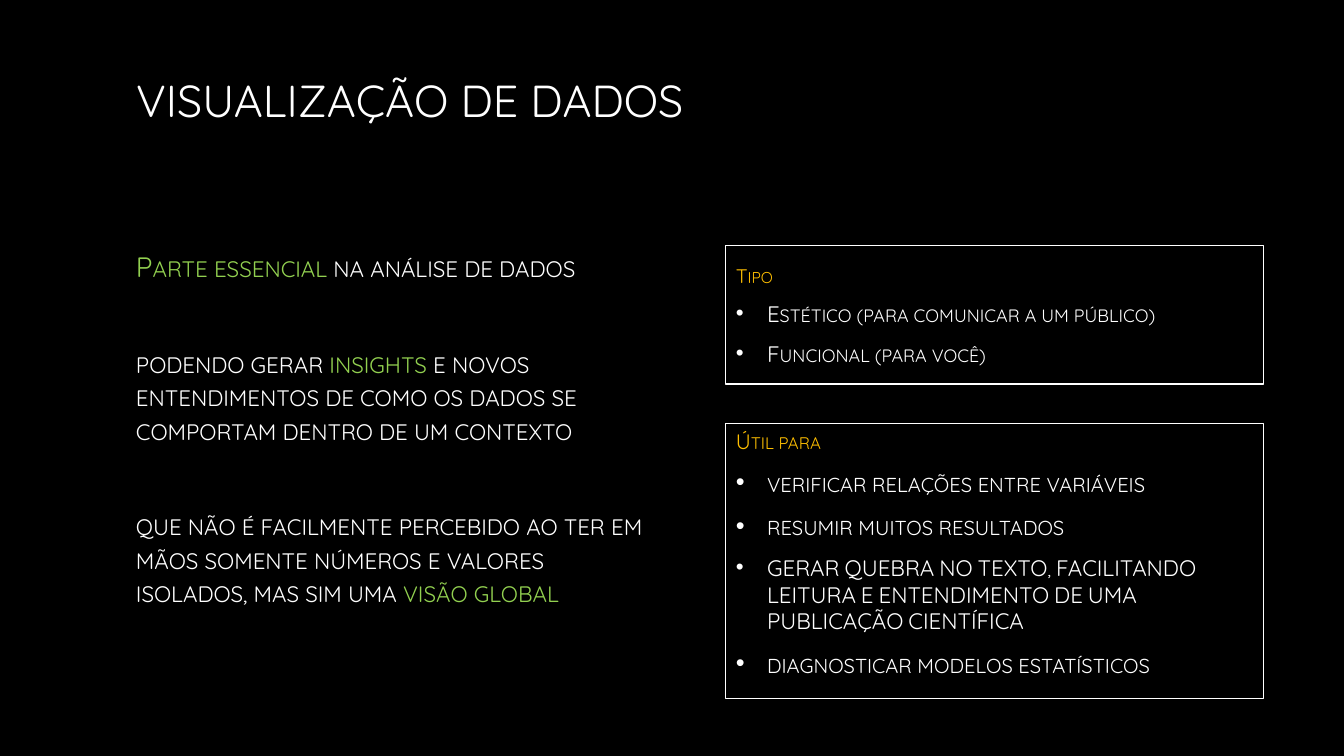
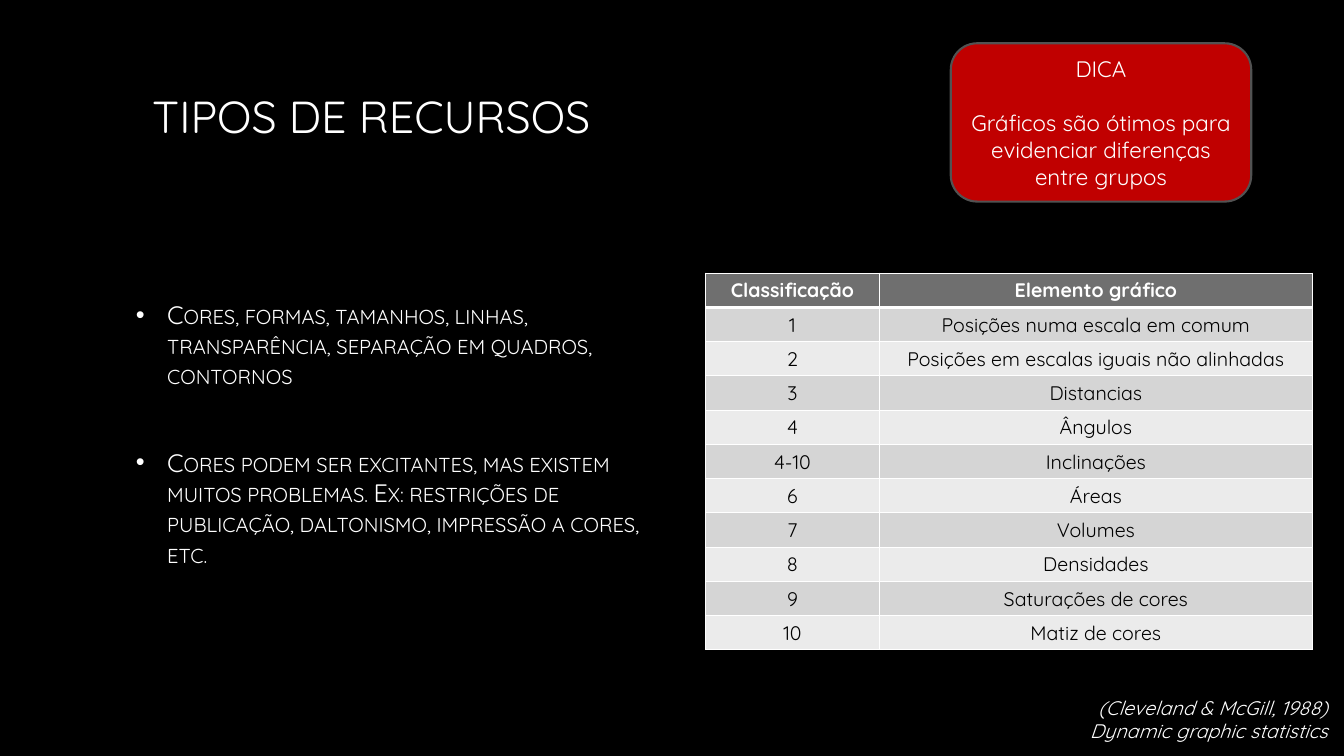
from dataclasses import dataclass

from lxml.etree import SubElement
from pptx import Presentation
from pptx.dml.color import RGBColor
from pptx.enum.shapes import MSO_SHAPE
from pptx.enum.text import MSO_ANCHOR, PP_ALIGN
from pptx.oxml.ns import qn
from pptx.util import Inches, Pt


@dataclass(frozen=True)
class Theme:
    font: str = "Quicksand"
    background: str = "000000"
    text: str = "FFFFFF"
    dark_text: str = "000000"
    green: str = "92D050"
    amber: str = "FFC000"
    red: str = "C00000"
    callout_line: str = "525252"
    header_fill: str = "6F6F6F"
    band_fills: tuple = ("D5D5D5", "EBEBEB")
    title_size: int = 32
    lead_size: int = 20
    list_size: int = 18
    note_size: int = 16
    label_size: int = 15
    small_size: int = 14
    line_ratio: float = 1.2
    space_after: int = 6
    before_ratio: float = 0.2
    bullet_indent: float = 0.31


THEME = Theme()


def rgb(value):
    return RGBColor.from_string(value)


def box_lengths(box):
    return [Inches(length) for length in box]


def style_run(run, size, colour=THEME.text, small_caps=False, bold=False, italic=False):
    font = run.font
    font.name, font.size = THEME.font, Pt(size)
    font.bold, font.italic = bold, italic
    font.color.rgb = rgb(colour)
    if small_caps:
        run._r.get_or_add_rPr().set("cap", "small")


def add_bullet(paragraph):
    properties = paragraph._p.get_or_add_pPr()
    indent = Inches(THEME.bullet_indent)
    properties.set("marL", str(indent))
    properties.set("indent", str(-indent))
    colour = SubElement(properties, qn("a:buClr"))
    SubElement(colour, qn("a:srgbClr"), val=THEME.text)
    SubElement(properties, qn("a:buFont"), typeface="Arial")
    SubElement(properties, qn("a:buChar"), char="•")


def next_paragraph(text_frame):
    """Return the empty first paragraph, or a new one after the others."""
    first = text_frame.paragraphs[0]
    return text_frame.add_paragraph() if first.runs else first


def add_body_paragraph(text_frame, runs, size, bullet=False, skip_line=False):
    """Add small-caps text; runs are (text, colour) pairs."""
    is_first = not text_frame.paragraphs[0].runs
    paragraph = next_paragraph(text_frame)
    if bullet:
        add_bullet(paragraph)
    line, before = size * THEME.line_ratio, size * THEME.before_ratio
    paragraph.line_spacing = Pt(line)
    paragraph.space_after = Pt(THEME.space_after)
    if skip_line:
        before += line + before + THEME.space_after
    paragraph.space_before = Pt(0 if is_first else before)
    for text, colour in runs:
        run = paragraph.add_run()
        run.text = text
        style_run(run, size, colour, small_caps=True)


def add_text_box(slide, box, anchor=MSO_ANCHOR.TOP, outlined=False):
    shape = slide.shapes.add_textbox(*box_lengths(box))
    shape.text_frame.word_wrap = True
    shape.text_frame.vertical_anchor = anchor
    if outlined:
        shape.line.color.rgb = rgb(THEME.text)
        shape.line.width = Pt(0.75)
    return shape.text_frame


def add_plain_lines(text_frame, lines, size, alignment, gap=0, italic=False):
    for index, text in enumerate(lines):
        paragraph = next_paragraph(text_frame)
        paragraph.text = text
        paragraph.alignment = alignment
        paragraph.line_spacing = Pt(size * THEME.line_ratio)
        paragraph.space_before = Pt(gap if index else 0)
        style_run(paragraph.runs[0], size, italic=italic)


def add_titled_slide(presentation, title, left, top):
    slide = presentation.slides.add_slide(presentation.slide_layouts[5])
    shape = slide.shapes.title
    shape.left, shape.top, shape.width, shape.height = box_lengths((left, top, 10.83, 2.08))
    text_frame = shape.text_frame
    text_frame.text = title
    text_frame.vertical_anchor = MSO_ANCHOR.TOP
    text_frame.paragraphs[0].alignment = PP_ALIGN.LEFT
    style_run(text_frame.paragraphs[0].runs[0], THEME.title_size)
    return slide


def add_body(slide, box, paragraphs, size, bullet=False):
    """Paragraphs set one blank line apart."""
    text_frame = add_text_box(slide, box)
    for index, runs in enumerate(paragraphs):
        add_body_paragraph(text_frame, runs, size, bullet, skip_line=index > 0)


def add_panel(slide, box, label, label_size, items, anchor):
    """Outlined box with an amber label over (text, size) bullets."""
    text_frame = add_text_box(slide, box, anchor, outlined=True)
    add_body_paragraph(text_frame, [(label, THEME.amber)], label_size)
    for text, size in items:
        add_body_paragraph(text_frame, [(text, THEME.text)], size, bullet=True)


def add_callout(slide, box, lines):
    shape = slide.shapes.add_shape(MSO_SHAPE.ROUNDED_RECTANGLE, *box_lengths(box))
    shape.shadow.inherit = False
    shape.fill.solid()
    shape.fill.fore_color.rgb = rgb(THEME.red)
    shape.line.color.rgb = rgb(THEME.callout_line)
    shape.line.width = Pt(1.5)
    shape.text_frame.word_wrap = True
    shape.text_frame.vertical_anchor = MSO_ANCHOR.MIDDLE
    add_plain_lines(shape.text_frame, lines, THEME.note_size, PP_ALIGN.CENTER,
                    gap=THEME.note_size * THEME.line_ratio)


def set_borders(cell, top, bottom):
    properties = cell._tc.get_or_add_tcPr()
    for side, width in (("L", 1), ("R", 1), ("T", top), ("B", bottom)):
        line = SubElement(properties, qn(f"a:ln{side}"), w=str(Pt(width)))
        fill = SubElement(line, qn("a:solidFill"))
        SubElement(fill, qn("a:srgbClr"), val=THEME.text)


def add_ranking_table(slide, left, top, column_widths, row_height, rows):
    box = (left, top, sum(column_widths), row_height * len(rows))
    table = slide.shapes.add_table(len(rows), len(column_widths), *box_lengths(box)).table
    for column, width in zip(table.columns, column_widths):
        column.width = Inches(width)
    for row_index, values in enumerate(rows):
        header = row_index == 0
        fill = THEME.header_fill if header else THEME.band_fills[(row_index - 1) % 2]
        colour = THEME.text if header else THEME.dark_text
        for column_index, value in enumerate(values):
            cell = table.cell(row_index, column_index)
            set_borders(cell, 3 if row_index == 1 else 1, 3 if header else 1)
            cell.fill.solid()
            cell.fill.fore_color.rgb = rgb(fill)
            cell.text_frame.text = value
            paragraph = cell.text_frame.paragraphs[0]
            paragraph.alignment = PP_ALIGN.CENTER
            style_run(paragraph.runs[0], THEME.small_size, colour, bold=header)


def build_visualization_slide(presentation):
    slide = add_titled_slide(presentation, "VISUALIZAÇÃO DE DADOS", 1.25, 0.67)
    # Main statement
    add_body(slide, (1.25, 2.43, 5.35, 4.5), [
        [("Parte essencial", THEME.green), (" na análise de dados", THEME.text)],
        [("podendo gerar ", THEME.text), ("insights", THEME.green),
         (" e novos entendimentos de como os dados se comportam dentro de um contexto",
          THEME.text)],
        [("que não é facilmente percebido ao ter em mãos somente números e valores "
          "isolados, mas sim uma ", THEME.text), ("visão global", THEME.green)],
    ], THEME.lead_size)
    # Panels on the right
    add_panel(slide, (7.2, 2.44, 5.33, 1.37), "Tipo", THEME.small_size, [
        ("Estético (para comunicar a um público)", THEME.note_size),
        ("Funcional (para você)", THEME.note_size),
    ], MSO_ANCHOR.MIDDLE)
    add_panel(slide, (7.2, 4.2, 5.33, 2.73), "Útil para", THEME.label_size, [
        ("verificar relações entre variáveis", THEME.list_size),
        ("resumir muitos resultados", THEME.list_size),
        ("GERAR QUEBRA NO TEXTO, FACILITANDO LEITURA E ENTENDIMENTO DE UMA "
         "PUBLICAÇÃO CIENTÍFICA", THEME.note_size),
        ("diagnosticar modelos estatísticos", THEME.list_size),
    ], MSO_ANCHOR.TOP)


def build_resources_slide(presentation):
    slide = add_titled_slide(presentation, "TIPOS DE RECURSOS", 1.41, 0.83)
    # Bullets
    add_body(slide, (1.25, 2.92, 5.33, 3.42), [
        [("Cores, formas, tamanhos, linhas, transparência, separação em quadros, "
          "contornos", THEME.text)],
        [("Cores podem ser excitantes, mas existem muitos problemas. Ex: restrições de "
          "publicação, daltonismo, impressão a cores, etc.", THEME.text)],
    ], THEME.list_size, bullet=True)
    # Tip
    add_callout(slide, (9.43, 0.43, 2.98, 1.57),
                ["DICA", "Gráficos são ótimos para evidenciar diferenças entre grupos"])
    # Ranking and its source
    add_ranking_table(slide, 7, 2.71, (1.72, 4.3), 0.34, [
        ("Classificação", "Elemento gráfico"),
        ("1", "Posições numa escala em comum"),
        ("2", "Posições em escalas iguais não alinhadas"),
        ("3", "Distancias"),
        ("4", "Ângulos"),
        ("4-10", "Inclinações"),
        ("6", "Áreas"),
        ("7", "Volumes"),
        ("8", "Densidades"),
        ("9", "Saturações de cores"),
        ("10", "Matiz de cores"),
    ])
    citation = add_text_box(slide, (8.04, 6.89, 5.23, 0.49), MSO_ANCHOR.MIDDLE)
    add_plain_lines(citation, ["(Cleveland & McGill, 1988)", "Dynamic graphic statistics"],
                    THEME.small_size, PP_ALIGN.RIGHT, italic=True)


def main():
    presentation = Presentation()
    presentation.slide_width, presentation.slide_height = Inches(13.33), Inches(7.5)
    background = presentation.slide_master.background.fill
    background.solid()
    background.fore_color.rgb = rgb(THEME.background)
    build_visualization_slide(presentation)
    build_resources_slide(presentation)
    presentation.save("out.pptx")


if __name__ == "__main__":
    main()
